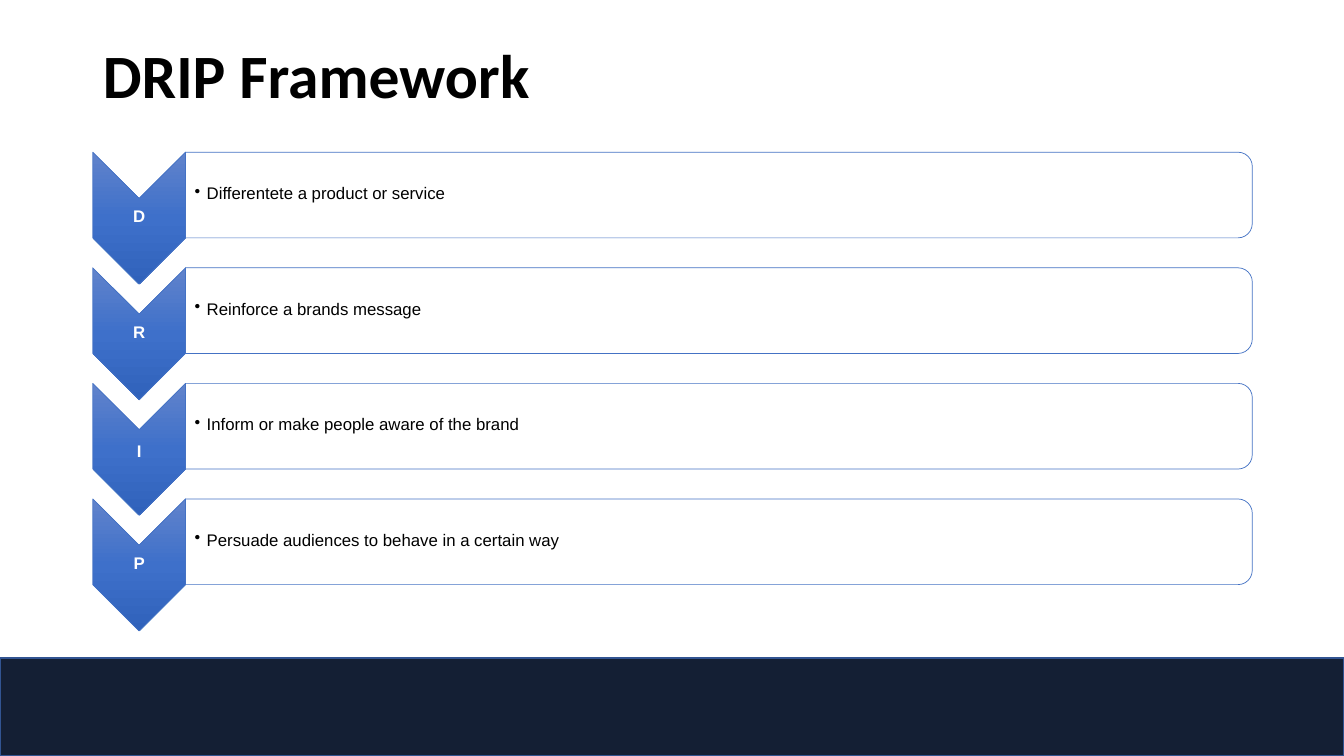
from lxml import etree
from pptx import Presentation
from pptx.dml.color import RGBColor
from pptx.enum import shapes, text
from pptx.oxml import ns, parse_xml
from pptx.util import Inches, Pt


def rgb(hex_code):
    return RGBColor.from_string(hex_code)


def write(frame, words, size=12, font="Arial", color="000000", bold=False,
          align=text.PP_ALIGN.LEFT, anchor=text.MSO_ANCHOR.MIDDLE,
          insets=(0.1, 0.05, 0.1, 0.05), bullet_indent=None):
    frame.word_wrap = True
    frame.auto_size = text.MSO_AUTO_SIZE.NONE
    frame.vertical_anchor = anchor
    (frame.margin_left, frame.margin_top,
     frame.margin_right, frame.margin_bottom) = map(Inches, insets)
    paragraph = frame.paragraphs[0]
    paragraph.text = words
    paragraph.alignment = align
    paragraph.line_spacing = 0.9
    if bullet_indent:
        props = paragraph._p.get_or_add_pPr()
        props.set("marL", str(Inches(bullet_indent)))
        props.set("indent", str(-Inches(bullet_indent)))
        etree.SubElement(props, ns.qn("a:buChar"), char="•")
    style = paragraph.runs[0].font
    style.name, style.size, style.bold = font, Pt(size), bold
    style.color.rgb = rgb(color)


class DripSlide:
    """Holds the slide and the colours and insets its parts share."""
    accent = "4472C4"
    gradient = ((0, "6183CB"), (50, "3E70CA"), (100, "3062BB"))
    band_fill, band_line = "141F34", "325491"
    tight = 0.01

    def __init__(self, deck):
        self.slide = deck.slides.add_slide(deck.slide_layouts[5])

    def title(self, words, left, top, width, height):
        holder = self.slide.shapes.title
        holder.left, holder.top = Inches(left), Inches(top)
        holder.width, holder.height = Inches(width), Inches(height)
        write(holder.text_frame, words, size=44, font="Calibri", bold=True,
              anchor=text.MSO_ANCHOR.TOP)

    def shape(self, preset, left, top, width, height, line, weight):
        item = self.slide.shapes.add_shape(
            preset, Inches(left), Inches(top), Inches(width), Inches(height))
        item.shadow.inherit = False
        item.line.color.rgb = rgb(line)
        item.line.width = Pt(weight)
        return item

    def turned(self, preset, left, top, width, height):
        """Add a shape turned by 90° that covers the given area."""
        shift = (width - height) / 2
        item = self.shape(preset, left + shift, top - shift, height, width,
                          self.accent, 0.5)
        item.rotation = 90
        return item

    def band(self, left, top, width, height):
        item = self.shape(shapes.MSO_SHAPE.RECTANGLE, left, top, width, height,
                          self.band_line, 1)
        item.fill.solid()
        item.fill.fore_color.rgb = rgb(self.band_fill)

    def chevron(self, left, top, width, height):
        item = self.turned(shapes.MSO_SHAPE.CHEVRON, left, top, width, height)
        stops = "".join(
            f'<a:gs pos="{pos * 1000}"><a:srgbClr val="{color}"/></a:gs>'
            for pos, color in self.gradient)
        item._element.spPr.find(ns.qn("a:prstGeom")).addnext(parse_xml(
            f'<a:gradFill {ns.nsdecls("a")} rotWithShape="0">'
            f'<a:gsLst>{stops}</a:gsLst>'
            '<a:lin ang="5400000" scaled="0"/></a:gradFill>'))

    def panel(self, left, top, width, height):
        item = self.turned(shapes.MSO_SHAPE.ROUND_2_SAME_RECTANGLE,
                           left, top, width, height)
        item.fill.solid()
        item.fill.fore_color.rgb = rgb("FFFFFF")
        color = item._element.spPr.find(ns.qn("a:solidFill"))[0]
        etree.SubElement(color, ns.qn("a:alpha"), val="90000")

    def label(self, words, left, top, width, height, inset=tight, **style):
        box = self.slide.shapes.add_textbox(
            Inches(left), Inches(top), Inches(width), Inches(height))
        write(box.text_frame, words,
              insets=(inset, self.tight, self.tight, self.tight), **style)


def main():
    deck = Presentation()
    deck.slide_width, deck.slide_height = Inches(13.33), Inches(7.5)
    drip = DripSlide(deck)
    drip.band(0, 6.53, 13.33, 0.97)
    drip.title("DRIP Framework", 0.92, 0.4, 11.5, 1.45)

    # Letter, its vertical shift, and what it stands for
    steps = (
        ("D", 0, "Differentete a product or service"),
        ("R", 0, "Reinforce a brands message"),
        ("I", 0.04, "Inform or make people aware of the brand"),
        ("P", 0, "Persuade audiences to behave in a certain way"),
    )
    letter_left, letter_width, panel_width = 0.92, 0.92, 10.58
    panel_left = letter_left + letter_width
    first_top, pitch = 1.51, 3.44 / 3
    for row, (letter, shift, meaning) in enumerate(steps):
        top = first_top + row * pitch
        drip.chevron(letter_left, top, letter_width, 1.31)
        drip.label(letter, letter_left, top + 0.45 + shift, letter_width, 0.39,
                   color="FFFFFF", bold=True, align=text.PP_ALIGN.CENTER)
        drip.panel(panel_left, top, panel_width, 0.85)
        drip.label(meaning, panel_left, top + 0.03, panel_width - 0.04, 0.77,
                   inset=0.09, bullet_indent=0.12)
    deck.save("out.pptx")


if __name__ == "__main__":
    main()
